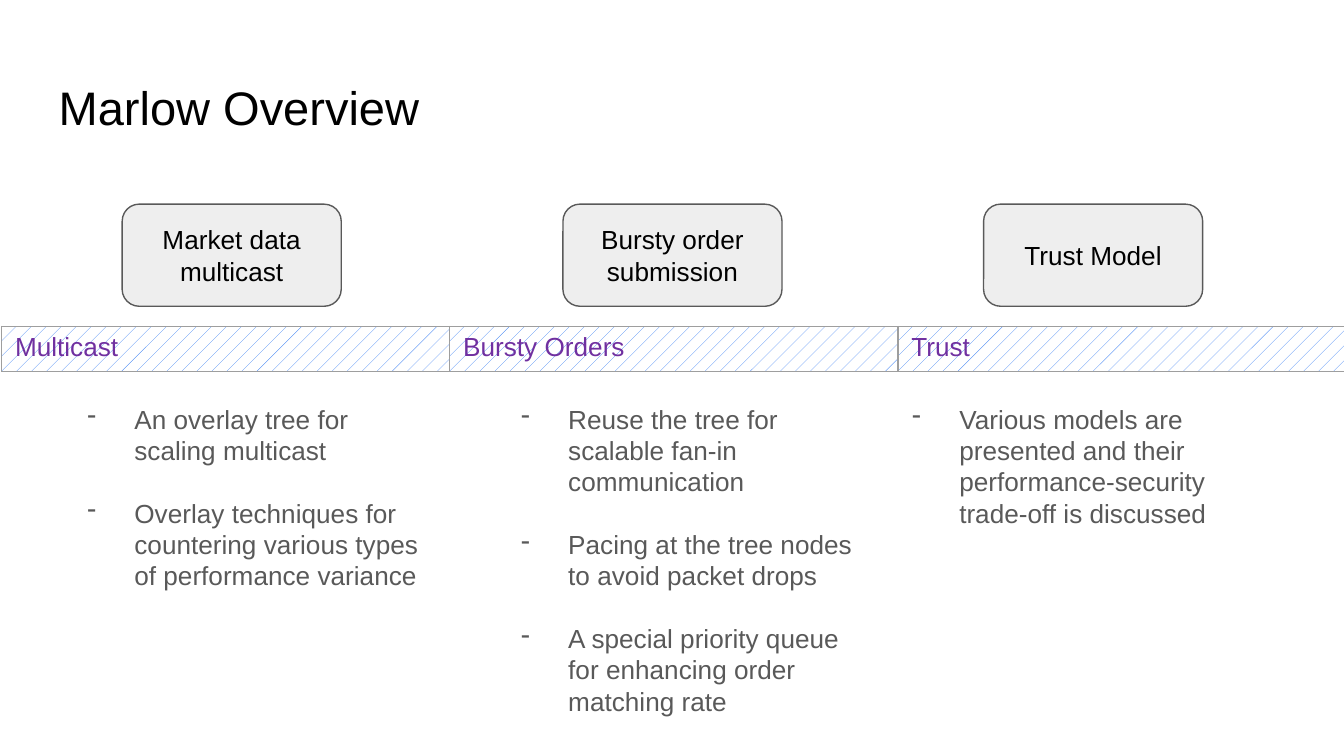
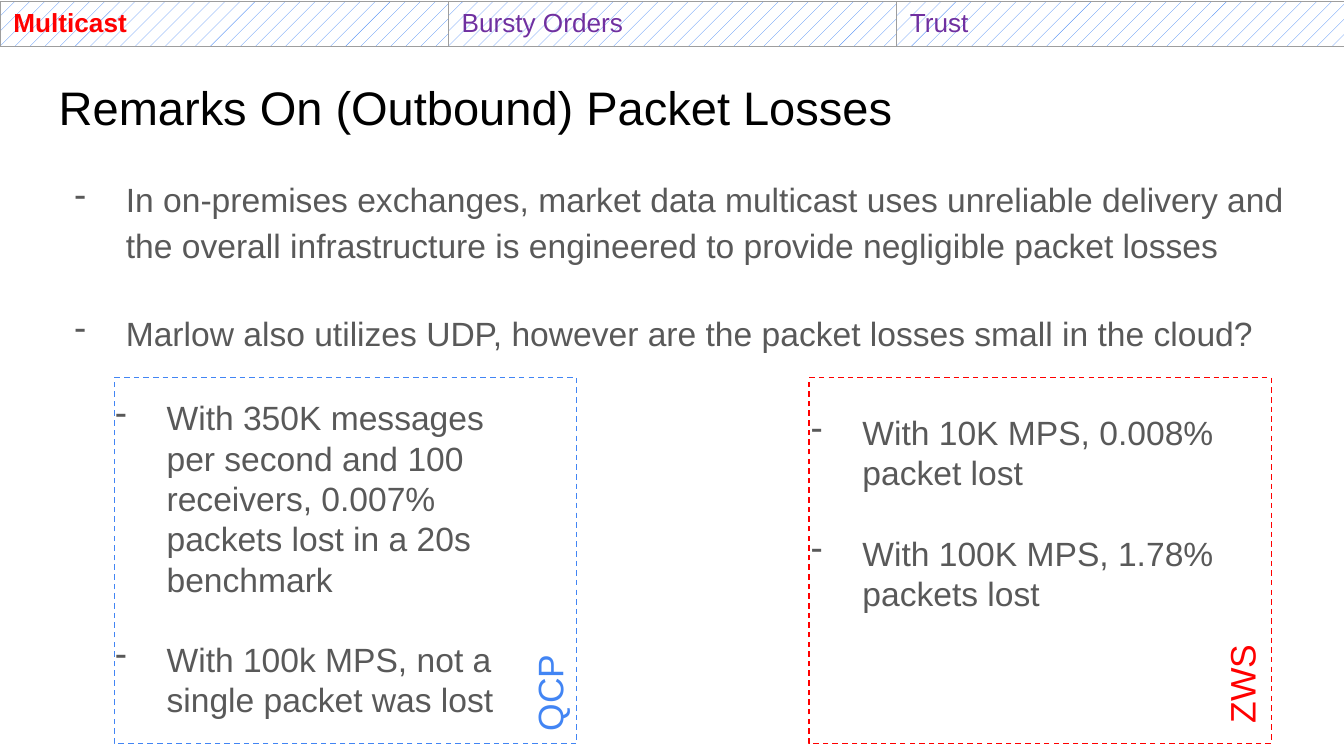
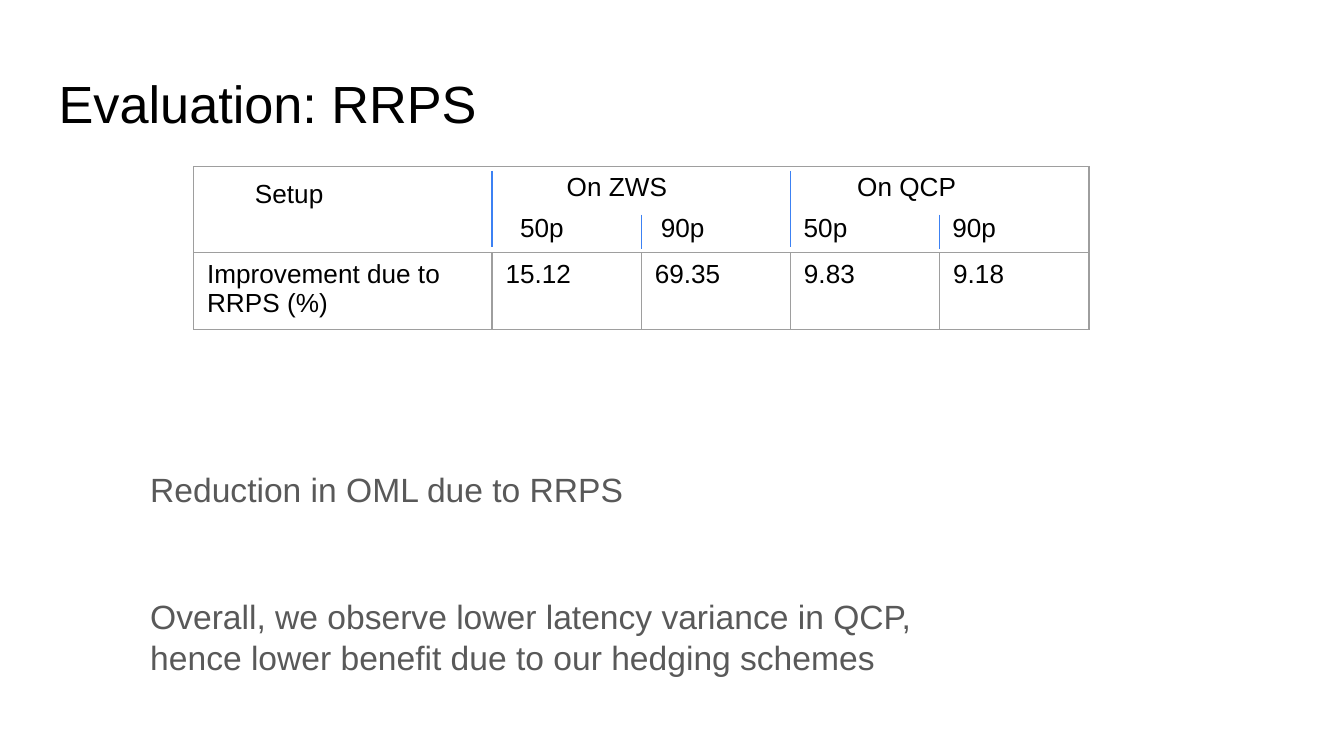
from dataclasses import dataclass
from itertools import accumulate
from typing import Optional

from lxml.etree import SubElement
from pptx import Presentation
from pptx.dml.color import RGBColor
from pptx.enum.dml import MSO_LINE, MSO_PATTERN
from pptx.enum.shapes import MSO_CONNECTOR, MSO_SHAPE
from pptx.enum.text import MSO_ANCHOR, PP_ALIGN
from pptx.oxml.ns import qn
from pptx.util import Cm, Pt

# Shared look
FONT = "Arial"
COLORS = {
    "black": "000000", "white": "FFFFFF", "text": "595959", "card": "EEEEEE",
    "border": "9E9E9E", "blue": "4285F4", "divider": "3C81F3",
    "red": "FF0000", "purple": "7030A0",
}
WIDE_FRAME = {
    "word_wrap": True, "vertical_anchor": MSO_ANCHOR.TOP,
    "margin_left": Cm(0.25), "margin_right": Cm(0.25),
    "margin_top": Cm(0.25), "margin_bottom": Cm(0.25),
}
LABEL_FRAME = WIDE_FRAME | {"margin_top": Cm(0.13), "margin_bottom": Cm(0.13)}
CARD_FRAME = WIDE_FRAME | {"vertical_anchor": MSO_ANCHOR.MIDDLE}
PLAIN_TABLE = {"first_row": False, "horz_banding": False}
TOPICS = ("Multicast", "Bursty Orders", "Trust")


@dataclass(frozen=True)
class Box:
    left: float
    top: float
    width: float
    height: float

    def lengths(self) -> tuple:
        return Cm(self.left), Cm(self.top), Cm(self.width), Cm(self.height)


@dataclass(frozen=True)
class Style:
    size: float
    color: str = "black"
    bold: bool = False
    line_spacing: Optional[float] = None
    gap: float = 0
    hanging: float = 0
    align: PP_ALIGN = PP_ALIGN.LEFT


@dataclass(frozen=True)
class TextItem:
    box: Box
    paragraphs: tuple
    style: Style
    rotation: int = 0


@dataclass(frozen=True)
class Topic:
    card: Box
    caption: str
    notes: TextItem


TITLE_BOX = Box(0.86, 1.24, 23.67, 1.6)
TITLE = Style(25.2)
TABLE_TEXT = Style(14)
CARD_TEXT = Style(14, align=PP_ALIGN.CENTER)
SMALL_BULLETS = Style(14, "text", gap=16.7, hanging=0.89)
LARGE_BULLETS = Style(18, "text", gap=21.4, hanging=0.97)
BODY_BULLETS = Style(18, "text", line_spacing=1.15, gap=22, hanging=0.97)
REMARK = Style(18, "text")


def rgb(name: str) -> RGBColor:
    return RGBColor.from_string(COLORS[name])


def apply(target, values: dict) -> None:
    for name, value in values.items():
        setattr(target, name, value)


# Text
def add_bullet(paragraph, style: Style) -> None:
    properties = paragraph._p.get_or_add_pPr()
    properties.set("marL", str(Cm(1.27)))
    properties.set("indent", str(-Cm(style.hanging)))
    color = SubElement(properties, qn("a:buClr"))
    SubElement(color, qn("a:srgbClr"), val=COLORS[style.color])
    SubElement(properties, qn("a:buChar"), char="-")


def write(frame, paragraphs: tuple, style: Style) -> None:
    for index, text in enumerate(paragraphs):
        paragraph = frame.add_paragraph() if index else frame.paragraphs[0]
        paragraph.text = text
        apply(paragraph, {"alignment": style.align,
                          "line_spacing": style.line_spacing})
        if style.gap and index < len(paragraphs) - 1:
            paragraph.space_after = Pt(style.gap)
        for run in paragraph.runs:
            apply(run.font, {"name": FONT, "size": Pt(style.size), "bold": style.bold})
            run.font.color.rgb = rgb(style.color)
        if style.hanging:
            add_bullet(paragraph, style)


def add_text(slide, item: TextItem, frame_format: dict = WIDE_FRAME) -> None:
    shape = slide.shapes.add_textbox(*item.box.lengths())
    shape.rotation = item.rotation
    apply(shape.text_frame, frame_format)
    write(shape.text_frame, item.paragraphs, item.style)


def add_slide(presentation, title: str, style: Style = TITLE):
    slide = presentation.slides.add_slide(presentation.slide_layouts[6])
    slide.background.fill.solid()
    slide.background.fill.fore_color.rgb = rgb("white")
    add_text(slide, TextItem(TITLE_BOX, (title,), style))
    return slide


# Shapes
def add_card(slide, box: Box, caption: str) -> None:
    shape = slide.shapes.add_shape(MSO_SHAPE.ROUNDED_RECTANGLE, *box.lengths())
    shape.shadow.inherit = False
    shape.fill.solid()
    shape.fill.fore_color.rgb = rgb("card")
    shape.line.color.rgb = rgb("text")
    shape.line.width = Pt(0.75)
    apply(shape.text_frame, CARD_FRAME)
    write(shape.text_frame, (caption,), CARD_TEXT)


def add_dashed_frame(slide, box: Box, color: str) -> None:
    shape = slide.shapes.add_shape(MSO_SHAPE.RECTANGLE, *box.lengths())
    shape.shadow.inherit = False
    shape.fill.background()
    shape.line.color.rgb = rgb(color)
    apply(shape.line, {"width": Pt(0.75), "dash_style": MSO_LINE.DASH})


def add_divider(slide, x: float, top: float, bottom: float) -> None:
    line = slide.shapes.add_connector(
        MSO_CONNECTOR.STRAIGHT, Cm(x), Cm(top), Cm(x), Cm(bottom))
    line.line.color.rgb = rgb("divider")
    line.line.width = Pt(0.75)
    SubElement(line._element.spPr, qn("a:effectLst"))


# Tables
def add_borders(cell) -> None:
    properties = cell._tc.get_or_add_tcPr()
    for index, side in enumerate(("lnL", "lnR", "lnT", "lnB")):
        border = SubElement(properties, qn(f"a:{side}"), w=str(Pt(0.75)))
        fill = SubElement(border, qn("a:solidFill"))
        SubElement(fill, qn("a:srgbClr"), val=COLORS["border"])
        properties.insert(index, border)


def add_table(slide, left: float, top: float, columns: tuple, rows: tuple):
    box = Box(left, top, sum(columns), sum(rows))
    table = slide.shapes.add_table(len(rows), len(columns), *box.lengths()).table
    apply(table, PLAIN_TABLE)
    for column, width in zip(table.columns, columns):
        column.width = Cm(width)
    for row, height in zip(table.rows, rows):
        row.height = Cm(height)
    for cell in table.iter_cells():
        cell.fill.background()
        add_borders(cell)
    return table


def add_topic_band(slide, left: float, top: float, current: str = "") -> None:
    table = add_table(slide, left, top, (8.47,) * len(TOPICS), (0.69,))
    for cell, topic in zip(table.iter_cells(), TOPICS):
        cell.fill.patterned()
        cell.fill.pattern = MSO_PATTERN.PERCENT_10
        cell.fill.fore_color.rgb = rgb("blue")
        cell.fill.back_color.rgb = rgb("white")
        active = topic == current
        write(cell.text_frame, (topic,),
              Style(14, "red" if active else "purple", bold=active))


# Slides
def build_overview(presentation) -> None:
    slide = add_slide(presentation, "Marlow Overview")
    topics = (
        Topic(Box(2.31, 3.86, 4.14, 1.93), "Market data multicast",
              TextItem(Box(1.02, 7.37, 7.39, 4.11), (
                  "An overlay tree for scaling multicast",
                  "Overlay techniques for countering various types of performance variance",
              ), SMALL_BULLETS)),
        Topic(Box(10.64, 3.86, 4.14, 1.93), "Bursty order submission",
              TextItem(Box(9.22, 7.37, 7.39, 6.5), (
                  "Reuse the tree for scalable fan-in communication",
                  "Pacing at the tree nodes to avoid packet drops",
                  "A special priority queue for enhancing order matching rate",
              ), SMALL_BULLETS)),
        Topic(Box(18.59, 3.86, 4.14, 1.93), "Trust Model",
              TextItem(Box(16.61, 7.37, 7.39, 2.9), (
                  "Various models are presented and their performance-security "
                  "trade-off is discussed",
              ), SMALL_BULLETS)),
    )
    for topic in topics:
        add_card(slide, topic.card, topic.caption)
        add_text(slide, topic.notes)
    add_topic_band(slide, 0.03, 6.17)


def build_packet_losses(presentation) -> None:
    slide = add_slide(presentation, "Remarks On (Outbound) Packet Losses")
    for left, color in ((15.29, "red"), (2.16, "blue")):
        add_dashed_frame(slide, Box(left, 7.14, 8.74, 6.91), color)
    texts = (
        TextItem(Box(0.86, 3.02, 23.67, 4.55), (
            "In on-premises exchanges, market data multicast uses unreliable delivery "
            "and the overall infrastructure is engineered to provide negligible "
            "packet losses",
            "Marlow also utilizes UDP, however are the packet losses small in the cloud?",
        ), BODY_BULLETS),
        TextItem(Box(1.63, 7.26, 8, 6.68), (
            "With 350K messages per second and 100 receivers, 0.007% packets lost "
            "in a 20s benchmark",
            "With 100k MPS, not a single packet was lost",
        ), LARGE_BULLETS),
        TextItem(Box(14.78, 7.54, 9.75, 4.37), (
            "With 10K MPS, 0.008% packet lost",
            "With 100K MPS, 1.78% \vpackets lost",
        ), LARGE_BULLETS),
        TextItem(Box(9.17, 12.19, 2.44, 1.32), ("QCP",), Style(19, "blue"), 270),
        TextItem(Box(22.25, 12.04, 2.44, 1.32), ("ZWS",), Style(19, "red"), 270),
    )
    for item in texts:
        add_text(slide, item)
    add_topic_band(slide, 0, 0.03, current="Multicast")


def build_evaluation(presentation) -> None:
    slide = add_slide(presentation, "Evaluation: RRPS", Style(28, line_spacing=0.9))
    remarks = (
        TextItem(Box(2.59, 8.61, 19.08, 1.27), ("Reduction in OML due to RRPS",), REMARK),
        TextItem(Box(2.59, 11.02, 16.36, 2.06), (
            "Overall, we observe lower latency variance in QCP, hence lower benefit "
            "due to our hedging schemes",
        ), REMARK),
    )
    for item in remarks:
        add_text(slide, item)

    # Results, with one merged heading row
    left, columns = 3.66, (5.64, 2.82, 2.82, 2.82, 2.82)
    table = add_table(slide, left, 3.15, columns, (1.63, 1.04))
    table.cell(0, 0).merge(table.cell(0, len(columns) - 1))
    results = ("Improvement due to RRPS (%)", "15.12", "69.35", "9.83", "9.18")
    for index, value in enumerate(results):
        write(table.cell(1, index).text_frame, (value,), TABLE_TEXT)

    # Headings laid over the merged row
    headings = (
        ("Setup", 4.57, 3.23, 2.16),
        ("On ZWS", 10.46, 3.1, 2.69), ("On QCP", 15.95, 3.1, 2.69),
        ("50p", 9.58, 3.86, 1.63), ("90p", 12.24, 3.86, 1.63),
        ("50p", 14.94, 3.86, 1.63), ("90p", 17.75, 3.86, 1.63),
    )
    for text, x, y, width in headings:
        add_text(slide, TextItem(Box(x, y, width, 0.86), (text,), TABLE_TEXT), LABEL_FRAME)
    for index, offset in enumerate(accumulate(columns[:-1])):
        top, bottom = (4.06, 4.7) if index % 2 else (3.23, 4.67)
        add_divider(slide, left + offset, top, bottom)


def main() -> None:
    presentation = Presentation()
    apply(presentation, {"slide_width": Cm(25.4), "slide_height": Cm(14.29)})
    build_overview(presentation)
    build_packet_losses(presentation)
    build_evaluation(presentation)
    presentation.save("out.pptx")


if __name__ == "__main__":
    main()
